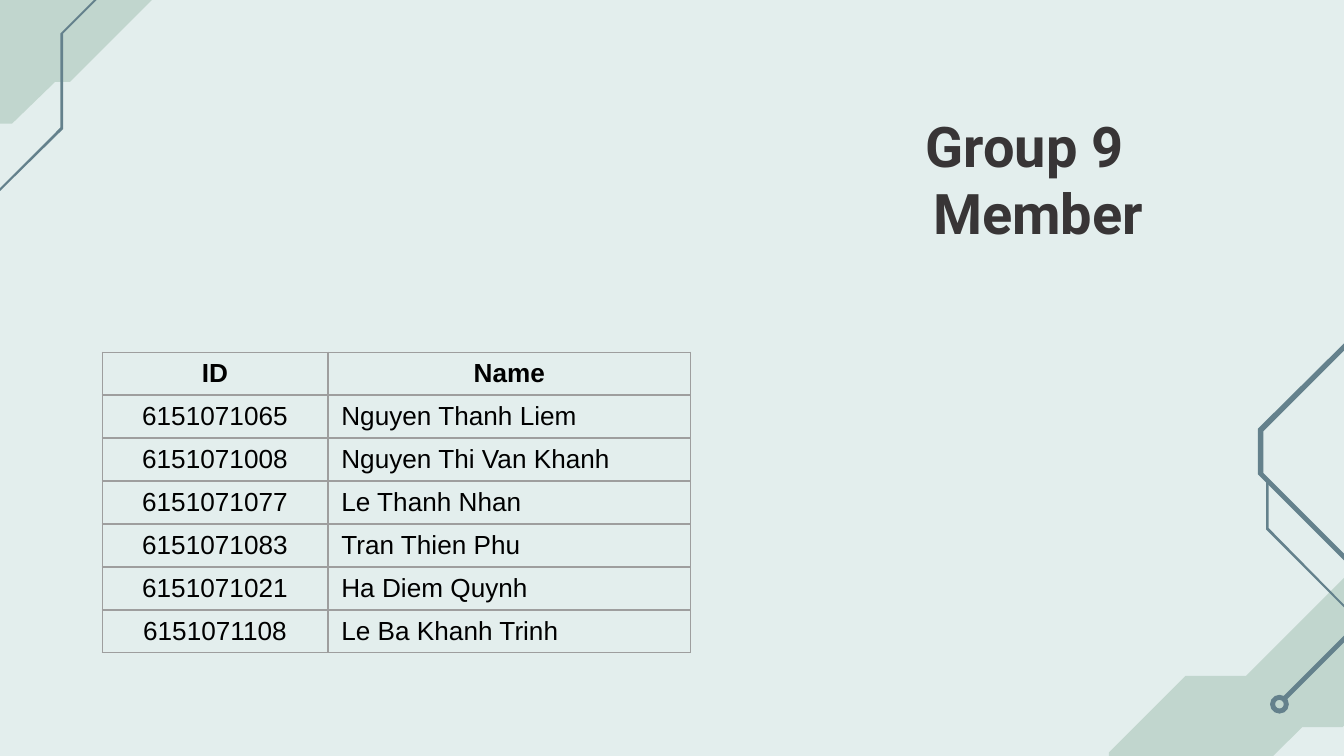
from lxml import etree
from pptx import Presentation
from pptx.dml.color import RGBColor
from pptx.enum import shapes, text
from pptx.oxml import ns
from pptx.util import Inches, Pt

BACK = RGBColor(0xE3, 0xEE, 0xED)
SAGE = RGBColor(0xC1, 0xD6, 0xCE)
SLATE = RGBColor(0x64, 0x81, 0x8C)
DARK = RGBColor(0x38, 0x35, 0x36)
BLACK = RGBColor(0, 0, 0)
GREY = RGBColor(0x9E, 0x9E, 0x9E)

TITLE = ["Group 9", "Member"]
HEAD = ("ID", "Name")
MEMBERS = [
    ("6151071065", "Nguyen Thanh Liem"),
    ("6151071008", "Nguyen Thi Van Khanh"),
    ("6151071077", "Le Thanh Nhan"),
    ("6151071083", "Tran Thien Phu"),
    ("6151071021", "Ha Diem Quynh"),
    ("6151071108", "Le Ba Khanh Trinh"),
]
COLS = (1.68, 2.7)
ROW = 0.32

# Corner ornaments, which bleed over the slide edge: colour, outline
CORNERS = [
    (SAGE, [(1.19, -0.72), (0.65, -0.18), (0.16, -0.18), (-0.94, 0.92),
            (0.09, 0.92), (0.41, 0.61), (0.52, 0.61), (1.85, -0.72)]),
    (SLATE, [(1.21, -0.51), (0.45, 0.25), (0.45, 0.95), (-0.12, 1.52),
             (-0.11, 1.53), (0.47, 0.96), (0.47, 0.25), (1.22, -0.5)]),
    (SAGE, [(10.27, 4.03), (9.27, 5.03), (8.82, 5.03), (8.25, 5.6),
            (8.25, 5.86), (7.89, 6.22), (8.87, 6.22), (9.69, 5.41),
            (9.99, 5.41), (10.58, 4.82), (10.58, 4.66), (11.21, 4.03)]),
    (SLATE, [(12.18, 1.15), (11.21, 2.12), (10.43, 2.12), (10.43, 2.13),
             (9.36, 3.19), (9.36, 3.53), (10.01, 4.18), (10.01, 4.72),
             (9.53, 5.2), (9.56, 5.22), (10.05, 4.73), (10.05, 4.17),
             (9.4, 3.52), (9.4, 3.21), (10.45, 2.16), (11.22, 2.16),
             (11.23, 2.15), (12.21, 1.18)]),
    (SLATE, [(9.42, 3.57), (9.42, 3.94), (10.02, 4.54), (10.03, 4.53),
             (9.44, 3.93), (9.44, 3.57)]),
]


def paint(shape, color):
    shape.shadow.inherit = False
    shape.fill.solid()
    shape.fill.fore_color.rgb = color
    shape.line.fill.background()


def write(para, words, size=14, font="Arial", color=BLACK, bold=False,
          center=True):
    run = para.add_run()
    run.text = words
    run.font.size = Pt(size)
    run.font.name = font
    run.font.color.rgb = color
    run.font.bold = bold
    para.alignment = text.PP_ALIGN.CENTER if center else text.PP_ALIGN.LEFT


def border(cell):
    props = cell._tc.get_or_add_tcPr()
    for at, side in enumerate(("a:lnL", "a:lnR", "a:lnT", "a:lnB")):
        line = etree.Element(ns.qn(side), w=str(Pt(0.75)))
        fill = etree.SubElement(line, ns.qn("a:solidFill"))
        etree.SubElement(fill, ns.qn("a:srgbClr"), val=str(GREY))
        props.insert(at, line)


deck = Presentation()
deck.slide_width = Inches(10)
deck.slide_height = deck.slide_width * 9 // 16
slide = deck.slides.add_slide(deck.slide_layouts[6])
slide.background.fill.solid()
slide.background.fill.fore_color.rgb = BACK

for color, points in CORNERS:
    spots = [(Inches(x), Inches(y)) for x, y in points]
    form = slide.shapes.build_freeform(*spots[0])
    form.add_line_segments(spots[1:], close=True)
    paint(form.convert_to_shape(), color)

ring = slide.shapes.add_shape(shapes.MSO_SHAPE.DONUT, Inches(9.45),
                              Inches(5.17), Inches(0.14), Inches(0.14))
ring.adjustments[0] = 0.27
paint(ring, SLATE)

box = slide.shapes.add_textbox(Inches(5.56), Inches(0.73),
                               Inches(4.13), Inches(1.18))
frame = box.text_frame
frame.word_wrap = True
frame.margin_left = frame.margin_right = Inches(0.1)
frame.margin_top = frame.margin_bottom = Inches(0.1)
for i, words in enumerate(TITLE):
    para = frame.add_paragraph() if i else frame.paragraphs[0]
    write(para, words, size=30, font="Roboto", color=DARK, bold=True)
    # Each further line is set in a little
    para._p.get_or_add_pPr().set("marL", str(Inches(0.2 * i)))

rows = [HEAD] + MEMBERS
table = slide.shapes.add_table(len(rows), len(COLS), Inches(0.76), Inches(2.62),
                               Inches(sum(COLS)), Inches(ROW * len(rows))).table
table.first_row = table.horz_banding = False
for col, width in zip(table.columns, COLS):
    col.width = Inches(width)
for r, row in enumerate(rows):
    table.rows[r].height = Inches(ROW)
    for c, words in enumerate(row):
        cell = table.cell(r, c)
        cell.fill.background()
        cell.vertical_anchor = text.MSO_ANCHOR.MIDDLE
        cell.margin_left = cell.margin_right = Inches(0.1)
        cell.margin_top = cell.margin_bottom = Inches(0.04)
        border(cell)
        write(cell.text_frame.paragraphs[0], words, bold=r == 0,
              center=r == 0 or c == 0)

deck.save("out.pptx")
